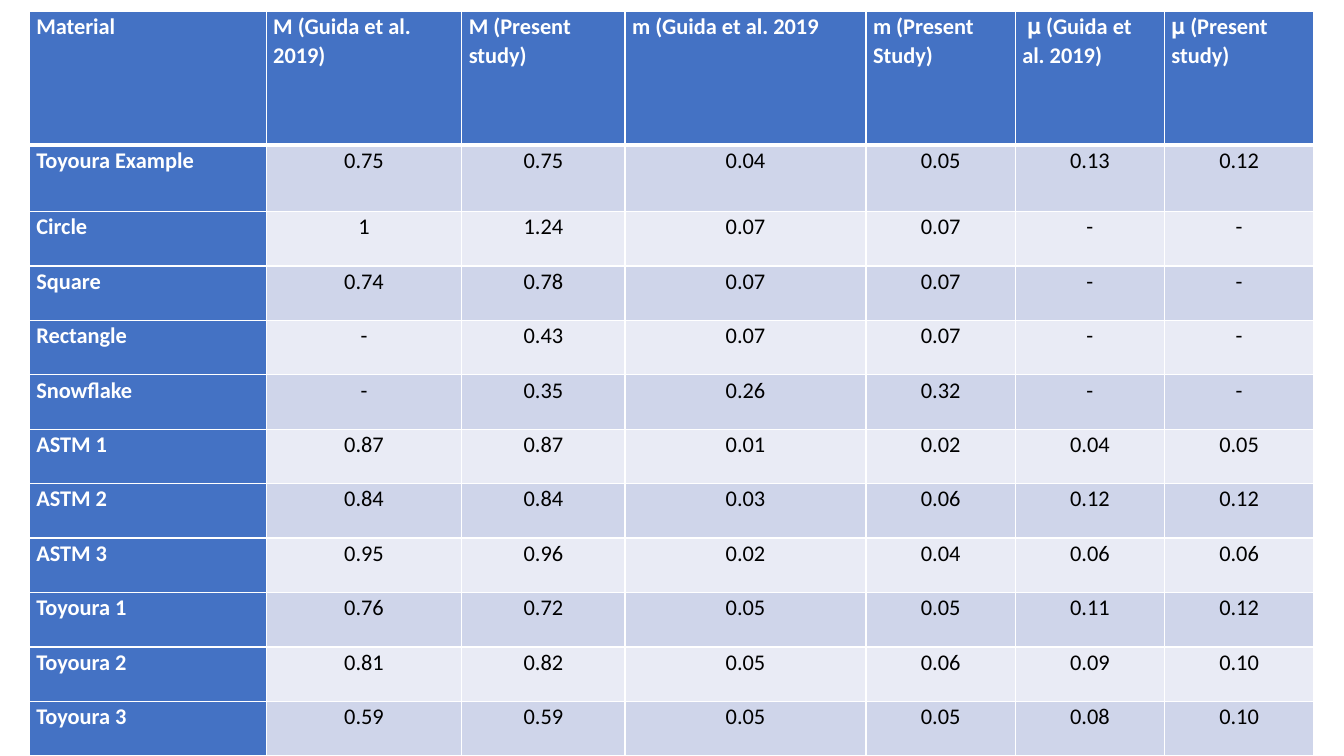
import pptx
import pptx.dml.color
import pptx.enum.text
import pptx.oxml.ns
import pptx.util
from lxml import etree

HEADINGS = (
    "Material", "M (Guida et al. 2019)", "M (Present study)", "m (Guida et al. 2019",
    "m (Present Study)", " 𝛍 (Guida et al. 2019)", "𝛍 (Present study)",
)
MATERIALS = [
    ("Toyoura Example", "0.75", "0.75", "0.04", "0.05", "0.13", "0.12"),
    ("Circle", "1", "1.24", "0.07", "0.07", "-", "-"),
    ("Square", "0.74", "0.78", "0.07", "0.07", "-", "-"),
    ("Rectangle", "-", "0.43", "0.07", "0.07", "-", "-"),
    ("Snowflake", "-", "0.35", "0.26", "0.32", "-", "-"),
    ("ASTM 1", "0.87", "0.87", "0.01", "0.02", "0.04", "0.05"),
    ("ASTM 2", "0.84", "0.84", "0.03", "0.06", "0.12", "0.12"),
    ("ASTM 3", "0.95", "0.96", "0.02", "0.04", "0.06", "0.06"),
    ("Toyoura 1", "0.76", "0.72", "0.05", "0.05", "0.11", "0.12"),
    ("Toyoura 2", "0.81", "0.82", "0.05", "0.06", "0.09", "0.10"),
    ("Toyoura 3", "0.59", "0.59", "0.05", "0.05", "0.08", "0.10"),
]

PX = 9144  # EMU per px, 100 px to the inch
SLIDE_SIZE = (1333, 750)
TABLE_LEFT, TABLE_TOP = 29, 11
COLUMN_WIDTHS = [235, 194, 162, 239, 148, 148, 148]
ROW_HEIGHTS = [133, 66] + [54] * (len(MATERIALS) - 1)
SIDE_MARGIN = 7

FONT = "Calibri"
WHITE = pptx.dml.color.RGBColor(0xFF, 0xFF, 0xFF)
BLACK = pptx.dml.color.RGBColor(0x00, 0x00, 0x00)
BLUE = pptx.dml.color.RGBColor(0x44, 0x72, 0xC4)
DARK_BAND = pptx.dml.color.RGBColor(0xCF, 0xD5, 0xEA)
LIGHT_BAND = pptx.dml.color.RGBColor(0xE9, 0xEB, 0xF5)


def set_borders(cell, top, bottom):
    """Draw white lines round the cell; top and bottom are widths in points."""
    qn = pptx.oxml.ns.qn
    properties = cell._tc.get_or_add_tcPr()
    for side, width in (("L", 1), ("R", 1), ("T", top), ("B", bottom)):
        line = etree.SubElement(properties, qn(f"a:ln{side}"), w=str(pptx.util.Pt(width)))
        fill = etree.SubElement(line, qn("a:solidFill"))
        etree.SubElement(fill, qn("a:srgbClr"), val=str(WHITE))


def fill_cell(cell, text, row, column):
    is_label = row == 0 or column == 0
    set_borders(cell, top=3 if row == 1 else 1, bottom=3 if row == 0 else 1)
    cell.fill.solid()
    band = DARK_BAND if row % 2 else LIGHT_BAND
    cell.fill.fore_color.rgb = BLUE if is_label else band
    cell.margin_left = cell.margin_right = SIDE_MARGIN * PX
    cell.margin_top = cell.margin_bottom = 0

    para = cell.text_frame.paragraphs[0]
    align = pptx.enum.text.PP_ALIGN
    para.alignment = align.LEFT if is_label else align.CENTER
    para.line_spacing = 1.07
    para.space_after = pptx.util.Pt(8)
    span = para.add_run()
    span.text = text
    span.font.name = FONT
    span.font.size = pptx.util.Pt(16)
    span.font.bold = is_label
    span.font.color.rgb = WHITE if is_label else BLACK


def main():
    deck = pptx.Presentation()
    deck.slide_width, deck.slide_height = (side * PX for side in SLIDE_SIZE)
    page = deck.slides.add_slide(deck.slide_layouts[6])

    rows = [HEADINGS] + MATERIALS
    table = page.shapes.add_table(
        len(rows), len(HEADINGS), TABLE_LEFT * PX, TABLE_TOP * PX,
        sum(COLUMN_WIDTHS) * PX, sum(ROW_HEIGHTS) * PX,
    ).table
    table.first_col = True
    for column, width in zip(table.columns, COLUMN_WIDTHS):
        column.width = width * PX
    for row, height in zip(table.rows, ROW_HEIGHTS):
        row.height = height * PX

    for r, texts in enumerate(rows):
        for c, text in enumerate(texts):
            fill_cell(table.cell(r, c), text, r, c)

    deck.save("out.pptx")


if __name__ == "__main__":
    main()
